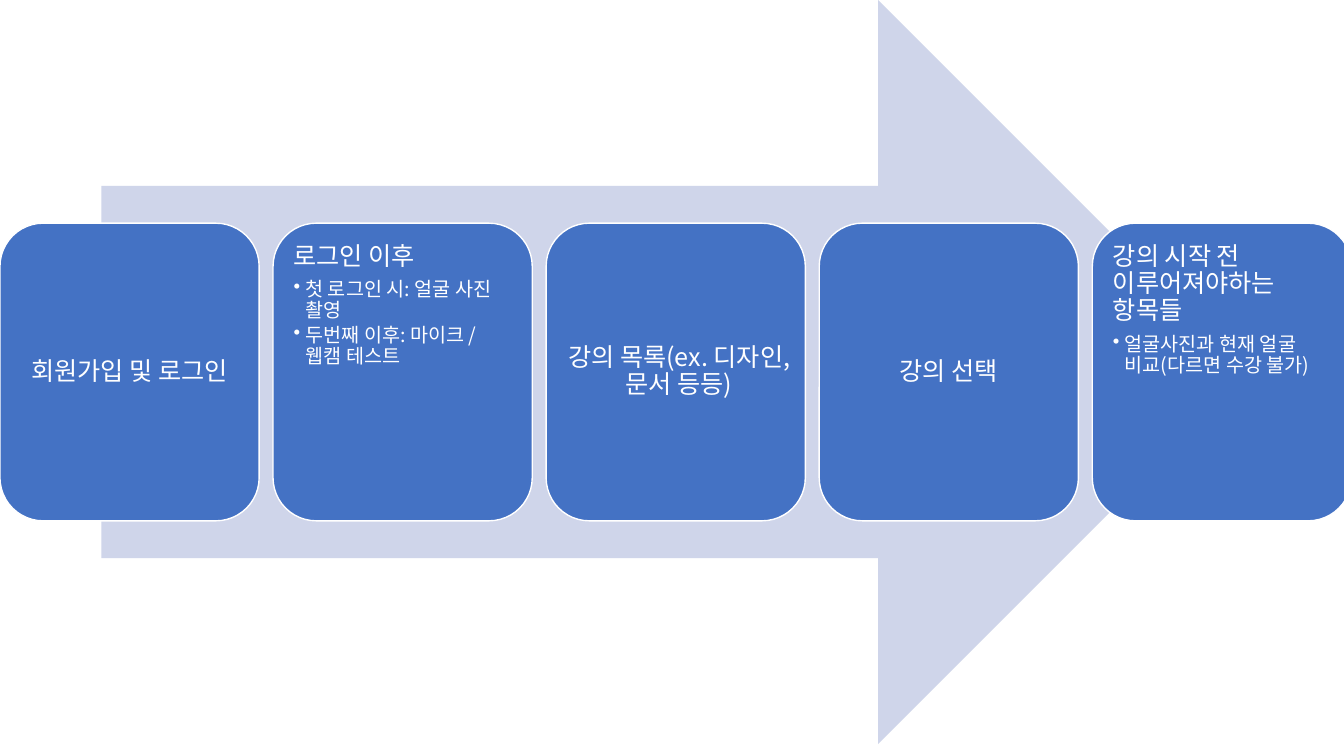
import pptx
import pptx.util
import pptx.dml.color
import pptx.enum.shapes
import pptx.enum.text
import pptx.oxml.ns
import lxml.etree

Cm = pptx.util.Cm
Pt = pptx.util.Pt
KIND = pptx.enum.shapes.MSO_SHAPE
FONT = "Noto Sans CJK KR"
WHITE, BLUE, PALE = "FFFFFF", "4472C4", "CFD5EA"

STEPS = [
    ("회원가입 및 로그인", []),
    ("로그인 이후", ["첫 로그인 시: 얼굴 사진 촬영", "두번째 이후: 마이크 / 웹캠 테스트"]),
    ("강의 목록(ex. 디자인, 문서 등등)", []),
    ("강의 선택", []),
    ("강의 시작 전 이루어져야하는 항목들", ["얼굴사진과 현재 얼굴 비교(다르면 수강 불가)"]),
]


def paint(color, code):
    color.rgb = pptx.dml.color.RGBColor.from_string(code)


def add_tag(parent, tag, **attrs):
    return lxml.etree.SubElement(parent, pptx.oxml.ns.qn(tag), attrs)


def add_block(slide, kind, box, code):
    """Add a flat, unlined shape; box is left, top, width, height in cm."""
    shape = slide.shapes.add_shape(kind, *map(Cm, box))
    shape.shadow.inherit = False
    shape.fill.solid()
    paint(shape.fill.fore_color, code)
    shape.line.fill.background()
    return shape


def write(para, text, size, gap, align):
    """Fill a paragraph; gap is the space after as a share of the size."""
    para.alignment = align
    para.line_spacing = 0.9
    para.space_after = Pt(size * gap)
    run = para.add_run()
    run.text = text
    run.font.size = Pt(size)
    run.font.name = FONT
    paint(run.font.color, WHITE)
    add_tag(run.font._element, "a:ea", typeface=FONT)


def add_bullet(para):
    props = para._p.get_or_add_pPr()
    props.set("marL", str(Cm(0.3)))
    props.set("indent", str(Cm(-0.3)))
    add_tag(props, "a:buChar", char="•")


def add_card(slide, box, title, items):
    card = add_block(slide, KIND.ROUNDED_RECTANGLE, box, BLUE)
    paint(card.line.color, WHITE)
    card.line.width = Pt(1)
    frame = card.text_frame
    frame.word_wrap = True
    frame.margin_left = frame.margin_right = Cm(0.2)
    frame.margin_top = frame.margin_bottom = Cm(0.2)
    anchor, align = pptx.enum.text.MSO_ANCHOR, pptx.enum.text.PP_ALIGN
    frame.vertical_anchor = anchor.TOP if items else anchor.MIDDLE
    write(frame.paragraphs[0], title, 18, 0.35,
          align.LEFT if items else align.CENTER)
    for item in items:
        para = frame.add_paragraph()
        para.level = 1
        write(para, item, 14, 0.15, align.LEFT)
        add_bullet(para)


def add_flow(slide, left, top, width, height):
    """Lay the steps in a row over an arrow that fills the box's height."""
    inset = 0.075 * width
    add_block(slide, KIND.RIGHT_ARROW,
              (left + inset, top, width - 2 * inset, height), PALE)
    gap = 0.35
    wide = (width - gap * (len(STEPS) - 1)) / len(STEPS)
    tall = 0.4 * height
    for i, (title, items) in enumerate(STEPS):
        box = (left + i * (wide + gap), top + 0.3 * height, wide, tall)
        add_card(slide, box, title, items)


def main():
    deck = pptx.Presentation()
    deck.slide_width, deck.slide_height = Cm(33.87), Cm(19.05)
    slide = deck.slides.add_slide(deck.slide_layouts[6])
    add_flow(slide, 0, 0, 34.06, 18.75)
    deck.save("out.pptx")


if __name__ == "__main__":
    main()
